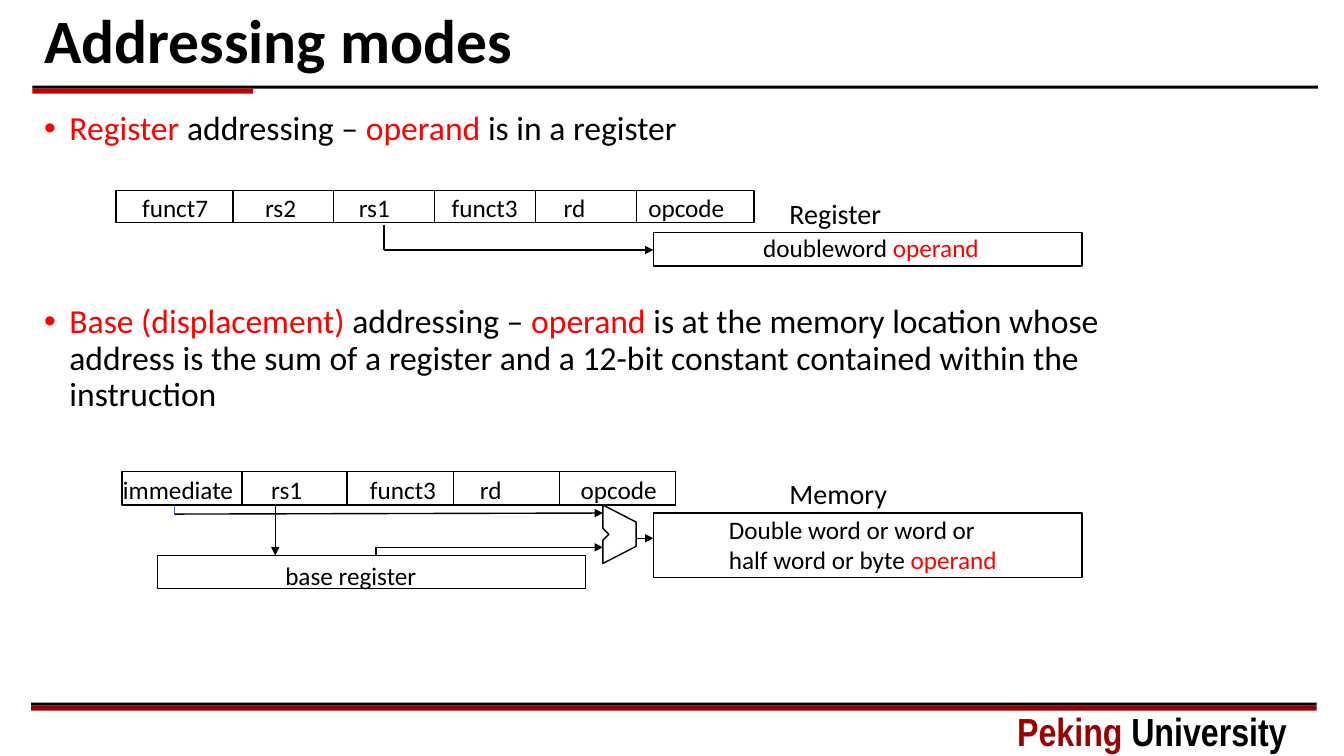
from lxml.etree import SubElement
from pptx import Presentation
from pptx.dml.color import RGBColor
from pptx.enum.shapes import MSO_CONNECTOR, MSO_SHAPE
from pptx.enum.text import MSO_ANCHOR
from pptx.oxml.ns import qn
from pptx.util import Inches, Pt

BLACK, RED, DARK_RED, ACCENT_RED, BLUE = "000000", "FF0000", "9A0001", "C00000", "4E67C8"

# Content: paragraphs are lists of (text, colour) runs
TITLE = [[("Addressing modes", BLACK)]]
FOOTER = [[("Peking ", DARK_RED), ("University", BLACK)]]
BULLETS = [
    [("Register ", RED), ("addressing – ", BLACK), ("operand ", RED),
     ("is in a register", BLACK)],
    [("Base (displacement) ", RED), ("addressing – ", BLACK), ("operand ", RED),
     ("is at the memory location whose address is the sum of a register and a "
      "12-bit constant contained within the instruction", BLACK)],
]
BULLET_GAP = 112

# Bars: left, top, width, height, colour
BARS = [
    (0.32, 0.85, 12.75, 0.03, BLACK), (0.32, 0.88, 2.19, 0.05, ACCENT_RED),
    (0.31, 6.97, 12.75, 0.03, BLACK), (0.31, 7, 12.75, 0.05, DARK_RED),
]

# Instruction formats: top, height, cell edges, text top, line spacing, (field, text left)
INSTRUCTIONS = [
    (1.89, 0.32, [1.15, 2.31, 3.31, 4.31, 5.31, 6.31, 7.48], 1.91, 1,
     [("funct7", 1.41), ("rs2", 2.63), ("rs1", 3.56), ("funct3", 4.48),
      ("rd", 5.59), ("opcode", 6.43)]),
    (4.68, 0.33, [1.21, 2.4, 3.44, 4.5, 5.55, 6.7], 4.75, 0.85,
     [("immediate", 1.22), ("rs1", 2.69), ("funct3", 3.67), ("rd", 4.76),
      ("opcode", 5.76)]),
]

# Storage boxes: left, top, width, height
STORAGE = [(6.48, 2.31, 4.25, 0.33), (1.56, 5.51, 4.25, 0.33), (6.48, 5.09, 4.25, 0.64)]

# Labels: left, top, size, paragraphs
LABELS = [
    (7.83, 1.95, 20, [[("Register", BLACK)]]),
    (7.57, 2.31, 18, [[("doubleword ", BLACK), ("operand", RED)]]),
    (2.83, 5.56, 18, [[("base register", BLACK)]]),
    (7.83, 4.73, 20, [[("Memory", BLACK)]]),
    (7.23, 5.1, 18, [[("Double word or word or", BLACK)],
                     [("half word or byte ", BLACK), ("operand", RED)]]),
]

# Wires: start, end, arrow, colour, width
WIRES = [
    ((3.81, 2.23), (3.81, 2.48), False, BLACK, 1),
    ((3.81, 2.48), (6.48, 2.48), True, BLACK, 1),
    ((1.73, 5.02), (1.73, 5.1), False, BLUE, 0.5),
    ((1.73, 5.1), (5.98, 5.09), True, BLACK, 1),
    ((2.73, 5.01), (2.73, 5.51), True, BLACK, 1),
    ((3.73, 5.51), (3.73, 5.43), False, BLACK, 1),
    ((3.73, 5.43), (5.98, 5.43), True, BLACK, 1),
    ((6.31, 5.34), (6.48, 5.34), True, BLACK, 1),
]
ADDER = [(5.98, 5.01), (6.31, 5.18), (6.31, 5.42), (5.98, 5.59),
         (5.98, 5.36), (6.04, 5.3), (5.98, 5.24)]

presentation = Presentation()
presentation.slide_width, presentation.slide_height = Inches(13.33), Inches(7.5)
slide = presentation.slides.add_slide(presentation.slide_layouts[6])
shapes = slide.shapes


def color(value):
    return RGBColor.from_string(value)


def style_outline(shape):
    shape.shadow.inherit = False
    shape.fill.background()
    shape.line.color.rgb = color(BLACK)
    shape.line.width = Pt(1)


def add_box(left, top, width, height, fill=None):
    shape = shapes.add_shape(MSO_SHAPE.RECTANGLE, Inches(left), Inches(top),
                             Inches(width), Inches(height))
    style_outline(shape)
    if fill:
        shape.fill.solid()
        shape.fill.fore_color.rgb = color(fill)
        shape.line.fill.background()


def add_wire(start, end, arrow=False, line_color=BLACK, width=1):
    wire = shapes.add_connector(MSO_CONNECTOR.STRAIGHT,
                                *[Inches(value) for value in start + end])
    wire.line.color.rgb = color(line_color)
    wire.line.width = Pt(width)
    properties = wire._element.spPr
    if arrow:
        SubElement(properties.find(qn("a:ln")), qn("a:tailEnd"), type="triangle")
    SubElement(properties, qn("a:effectLst"))


def add_text(left, top, width, height, paragraphs, size, font="Calibri", bold=False,
             spacing=1, inset=(0, 0), anchor=MSO_ANCHOR.TOP):
    box = shapes.add_textbox(Inches(left), Inches(top), Inches(width), Inches(height))
    frame = box.text_frame
    frame.word_wrap = True
    frame.vertical_anchor = anchor
    frame.margin_left = frame.margin_right = Inches(inset[0])
    frame.margin_top = frame.margin_bottom = Inches(inset[1])
    for index, runs in enumerate(paragraphs):
        paragraph = frame.add_paragraph() if index else frame.paragraphs[0]
        paragraph.line_spacing = spacing
        for text, run_color in runs:
            run = paragraph.add_run()
            run.text = text
            run.font.name = font
            run.font.size = Pt(size)
            run.font.bold = bold
            run.font.color.rgb = color(run_color)
    return frame


# Frame of the slide: rules, title and footer
for bar in BARS:
    add_box(*bar)
add_text(9.99, 6.97, 3.16, 0.57, FOOTER, 28, "Arial Narrow", True, inset=(0.1, 0.05))
add_text(0.34, 0.02, 12.69, 0.83, TITLE, 44, bold=True, spacing=0.9,
         inset=(0.1, 0.05), anchor=MSO_ANCHOR.MIDDLE)

# Bulleted body
body = add_text(0.34, 1.06, 11.52, 5.39, BULLETS, 24, spacing=0.9, inset=(0.1, 0.05))
body.paragraphs[1].space_before = Pt(BULLET_GAP)
for paragraph in body.paragraphs:
    properties = paragraph._p.get_or_add_pPr()
    properties.set("marL", str(Inches(0.25)))
    properties.set("indent", str(-Inches(0.25)))
    SubElement(properties, qn("a:buFont"), typeface="Arial")
    SubElement(properties, qn("a:buChar"), char="•")

# Instruction formats
for top, height, edges, text_top, spacing, fields in INSTRUCTIONS:
    add_box(edges[0], top, edges[-1] - edges[0], height)
    for edge in edges[1:-1]:
        add_wire((edge, top), (edge, top + height))
    for field, left in fields:
        add_text(left, text_top, 1.2, 0.3, [[(field, BLACK)]], 18, spacing=spacing)

# Storage, adder and data paths
for storage in STORAGE:
    add_box(*storage)
builder = shapes.build_freeform(*[Inches(value) for value in ADDER[0]])
builder.add_line_segments([(Inches(x), Inches(y)) for x, y in ADDER[1:]], close=True)
style_outline(builder.convert_to_shape())
for wire in WIRES:
    add_wire(*wire)
for left, top, size, paragraphs in LABELS:
    add_text(left, top, 3, 0.3 * len(paragraphs), paragraphs, size)

presentation.save("out.pptx")
